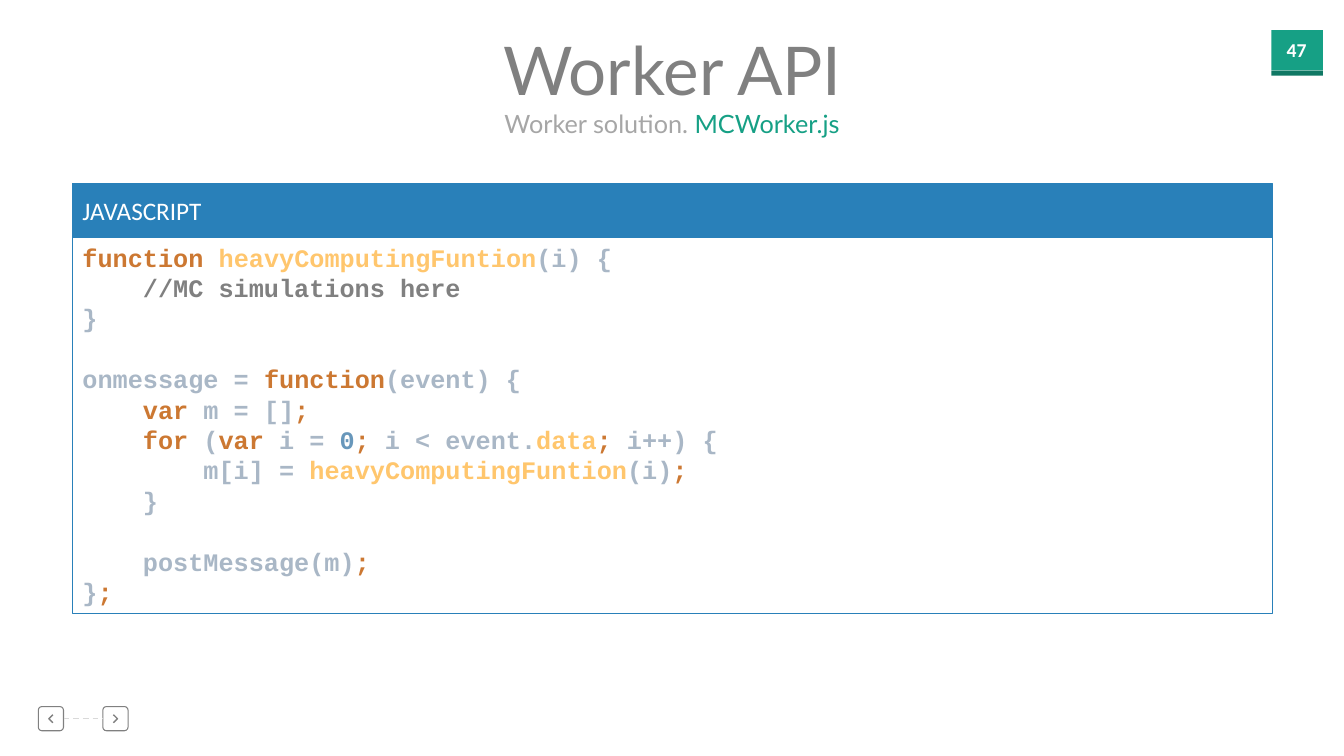
from dataclasses import dataclass

from lxml.etree import SubElement
from pptx import Presentation
from pptx.dml.color import RGBColor
from pptx.enum.dml import MSO_LINE
from pptx.enum.shapes import MSO_CONNECTOR, MSO_SHAPE
from pptx.enum.text import MSO_ANCHOR, MSO_AUTO_SIZE, PP_ALIGN
from pptx.oxml.ns import qn
from pptx.util import Inches, Pt


@dataclass(frozen=True)
class Theme:
    white: str = "FFFFFF"
    gray: str = "808080"
    subtitle: str = "A6A6A6"
    dash: str = "D9D9D9"
    green: str = "16A085"
    dark_green: str = "107864"
    blue: str = "2980B9"
    keyword: str = "CC7832"
    name: str = "FFC66D"
    plain: str = "A9B7C6"
    number: str = "6897BB"
    heading_font: str = "Lato"
    label_font: str = "Calibri"
    code_font: str = "Courier New"
    title_size: float = 48
    text_size: float = 18
    page_number_size: float = 14
    code_pitch: float = 21.7


THEME = Theme()
KEY, NAME, PLAIN, NUMBER, NOTE = (
    THEME.keyword, THEME.name, THEME.plain, THEME.number, THEME.gray)

# Blocks of code, each a list of lines made of (text, colour) spans.
CODE = [
    [
        [("function ", KEY), ("heavyComputingFuntion", NAME), ("(i) {", PLAIN)],
        [("    //MC simulations here", NOTE)],
        [("}", PLAIN)],
    ],
    [
        [("onmessage = ", PLAIN), ("function", KEY), ("(event) {", PLAIN)],
        [("    var ", KEY), ("m = []", PLAIN), (";", KEY)],
        [("    for ", KEY), ("(", PLAIN), ("var ", KEY), ("i = ", PLAIN),
         ("0", NUMBER), ("; ", KEY), ("i < event.", PLAIN), ("data", NAME),
         ("; ", KEY), ("i++) {", PLAIN)],
        [("        m[i] = ", PLAIN), ("heavyComputingFuntion", NAME),
         ("(i)", PLAIN), (";", KEY)],
        [("    }", PLAIN)],
    ],
    [
        [("    postMessage(m)", PLAIN), (";", KEY)],
        [("}", PLAIN), (";", KEY)],
    ],
]


def rgb(color):
    return RGBColor.from_string(color)


def style(font, name, size, color, bold=False):
    font.name, font.size, font.bold = name, Pt(size), bold
    font.color.rgb = rgb(color)


def add_spans(para, spans, name, size, bold=False):
    for text, color in spans:
        span = para.add_run()
        span.text = text
        style(span.font, name, size, color, bold)


def add_box(shapes, place, fill=None, line=None, kind=MSO_SHAPE.RECTANGLE):
    box = shapes.add_shape(kind, *map(Inches, place))
    box.shadow.inherit = False
    if fill:
        box.fill.solid()
        box.fill.fore_color.rgb = rgb(fill)
    else:
        box.fill.background()
    if line:
        box.line.color.rgb = rgb(line)
        box.line.width = Pt(0.75)
    else:
        box.line.fill.background()
    return box


def write_centered(box, spans, name, size, bold=False):
    """Fill a box with one centred line that does not wrap."""
    frame = box.text_frame
    frame.word_wrap = False
    frame.auto_size = MSO_AUTO_SIZE.NONE
    frame.vertical_anchor = MSO_ANCHOR.TOP
    para = frame.paragraphs[0]
    para.alignment = PP_ALIGN.CENTER
    add_spans(para, spans, name, size, bold)


def add_label(page, place, spans, name, size, bold=False):
    box = page.shapes.add_textbox(*map(Inches, place))
    write_centered(box, spans, name, size, bold)


def add_title(page):
    title = page.shapes.title
    title.left, title.top, title.width, title.height = map(
        Inches, (4.87, 0.23, 3.6, 0.91))
    write_centered(title, [("Worker API", THEME.gray)],
                   THEME.heading_font, THEME.title_size)


def add_page_number(page):
    add_box(page.shapes, (12.61, 0.3, 0.51, 0.4), THEME.green)
    add_box(page.shapes, (12.61, 0.7, 0.51, 0.05), THEME.dark_green)
    add_label(page, (12.64, 0.33, 0.44, 0.34), [("47", THEME.white)],
              THEME.label_font, THEME.page_number_size, bold=True)


def add_arrow_button(page, left, direction):
    """Draw a rounded button with a chevron; direction is -1 left, 1 right."""
    top, width, height = 7.01, 0.25, 0.24
    button = add_box(page.shapes, (left, top, width, height), None,
                     THEME.gray, MSO_SHAPE.ROUNDED_RECTANGLE)
    button.adjustments[0] = 0.15
    center, middle = left + width / 2, top + height / 2
    tip, tail = center + 0.02 * direction, center - 0.02 * direction
    builder = page.shapes.build_freeform(
        Inches(tail), Inches(middle - 0.04))
    builder.add_line_segments(
        [(Inches(tip), Inches(middle)), (Inches(tail), Inches(middle + 0.04))],
        close=False)
    chevron = builder.convert_to_shape()
    chevron.shadow.inherit = False
    chevron.fill.background()
    chevron.line.color.rgb = rgb(THEME.gray)
    chevron.line.width = Pt(1)
    return button


def add_navigation(page):
    back = add_arrow_button(page, 0.38, -1)
    forward = add_arrow_button(page, 1.02, 1)
    link = page.shapes.add_connector(
        MSO_CONNECTOR.STRAIGHT, Inches(0.63), Inches(7.13),
        Inches(1.02), Inches(7.13))
    link.begin_connect(back, 3)
    link.end_connect(forward, 1)
    link.line.color.rgb = rgb(THEME.dash)
    link.line.width = Pt(1)
    link.line.dash_style = MSO_LINE.DASH
    SubElement(link._element.spPr, qn("a:effectLst"))


def add_code(shapes, place):
    box = add_box(shapes, place, THEME.white, THEME.blue)
    color = box.fill._xPr.find(qn("a:solidFill"))[0]
    SubElement(color, qn("a:alpha")).set("val", "90000")
    frame = box.text_frame
    frame.word_wrap = True
    frame.vertical_anchor = MSO_ANCHOR.TOP
    for block_index, block in enumerate(CODE):
        para = frame.add_paragraph() if block_index else frame.paragraphs[0]
        para.alignment = PP_ALIGN.LEFT
        para.line_spacing = Pt(THEME.code_pitch)
        if block_index:
            para.space_before = Pt(THEME.code_pitch)
        for line_index, line in enumerate(block):
            if line_index:
                para.add_line_break()
            add_spans(para, line, THEME.code_font, THEME.text_size, bold=True)


def add_code_panel(page):
    panel = page.shapes.add_group_shape()
    add_code(panel.shapes, (0.72, 2.35, 11.9, 3.74))
    header = add_box(panel.shapes, (0.72, 1.82, 11.9, 0.54),
                     THEME.blue, THEME.blue)
    header.text_frame.text = "JAVASCRIPT"
    header.text_frame.vertical_anchor = MSO_ANCHOR.MIDDLE
    para = header.text_frame.paragraphs[0]
    para.alignment = PP_ALIGN.LEFT
    style(para.runs[0].font, THEME.label_font, THEME.text_size, THEME.white)


def main():
    deck = Presentation()
    deck.slide_width, deck.slide_height = Inches(13.33), Inches(7.5)
    page = deck.slides.add_slide(deck.slide_layouts.get_by_name("Title Only"))
    add_page_number(page)
    add_navigation(page)
    add_label(page, (4.9, 1.03, 3.53, 0.4),
              [("Worker solution. ", THEME.subtitle),
               ("MCWorker.js", THEME.green)],
              THEME.heading_font, THEME.text_size)
    add_title(page)
    add_code_panel(page)
    deck.save("out.pptx")


if __name__ == "__main__":
    main()
